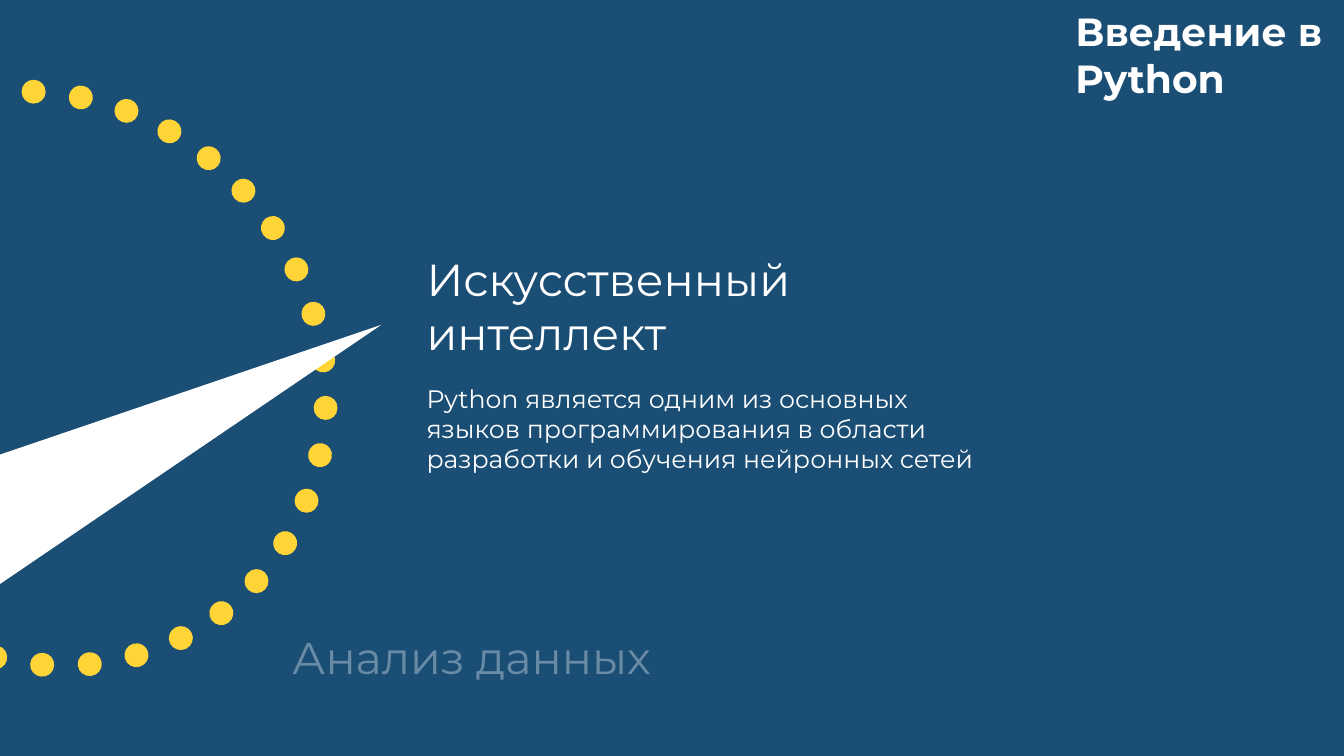
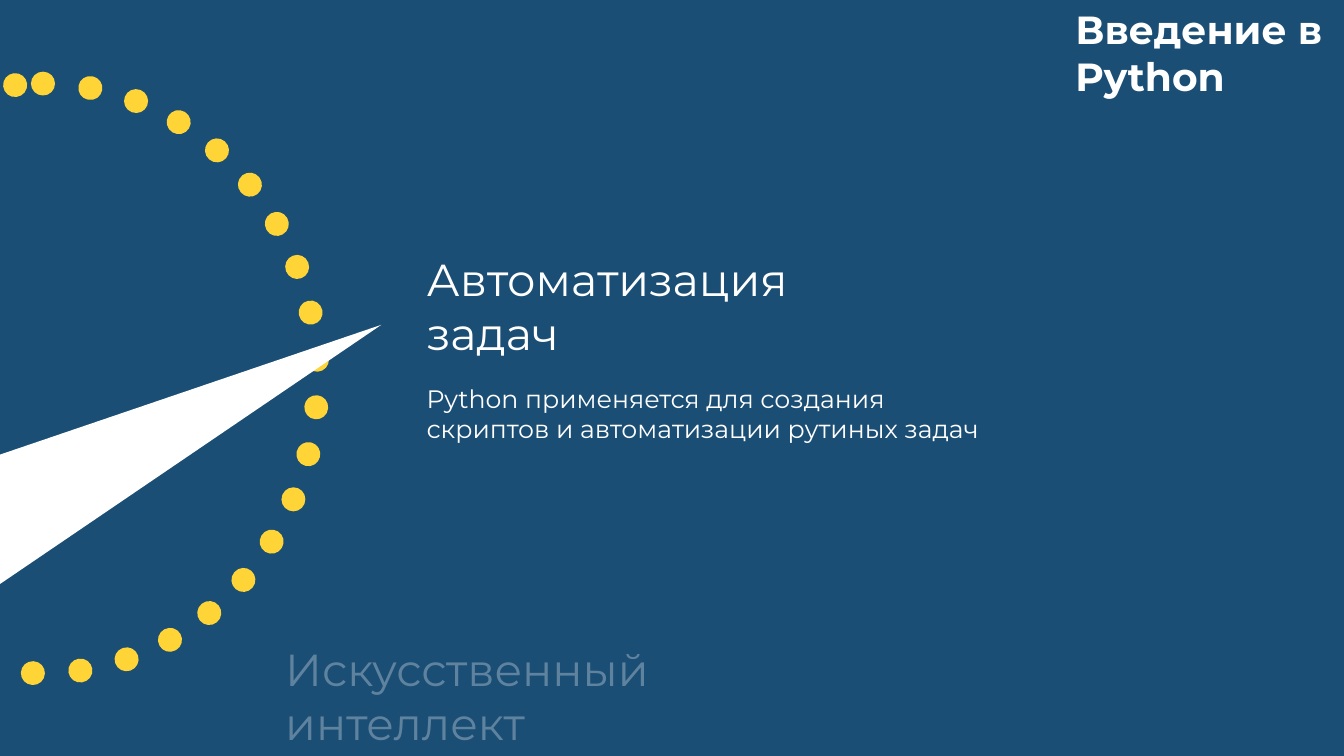
from pptx import Presentation
from pptx.dml.color import RGBColor
from pptx.enum.dml import MSO_LINE
from pptx.enum.shapes import MSO_SHAPE as Form
from pptx.enum.text import MSO_AUTO_SIZE as Fit
from pptx.oxml.ns import qn
from pptx.util import Inches, Pt
from lxml.etree import SubElement

WIDE, HIGH = Inches(13.333), Inches(7.5)
NAVY = RGBColor(0x1B, 0x4E, 0x75)
GOLD = RGBColor(0xFF, 0xD4, 0x36)
WHITE = RGBColor(0xFF, 0xFF, 0xFF)
FONT = "Montserrat"

# Boxes are left, top, width, height in percent of the slide.
RING = (-18.75, 13.73, 43.88, 72.67)
HAND = (-0.38, 18.67, 13.35, 87.73)
TITLE = (31, 32.67, 32.4, 15.73)
BODY = (31, 50, 43.88, 13.5)

TOPICS = [
    dict(turn=50.8, head_top=0.27,
         title="Искусственный интеллект",
         body="Python является одним из основных языков программирования "
              "в области разработки и обучения нейронных сетей",
         past="Анализ данных", past_at=(21, 82.67), alpha=35),
    dict(turn=90, head_top=0,
         title="Автоматизация задач",
         body="Python применяется для создания скриптов "
              "и автоматизации рутиных задач",
         past="Искусственный интеллект", past_at=(20.48, 84.27), alpha=30),
]


def place(box):
    """Turn a box in percent into slide lengths."""
    return [int(part * full / 100)
            for part, full in zip(box, (WIDE, HIGH) * 2)]


def add_form(slide, kind, box, turn):
    form = slide.shapes.add_shape(kind, *place(box))
    form.rotation = turn
    form.shadow.inherit = False
    return form


def add_ring(slide, turn):
    """Draw the circle of round dots."""
    ring = add_form(slide, Form.OVAL, RING, turn)
    ring.fill.background()
    ring.line.color.rgb = GOLD
    ring.line.width = Pt(17)
    ring.line.dash_style = MSO_LINE.ROUND_DOT
    ring._element.spPr.find(qn("a:ln")).set("cap", "rnd")


def add_hand(slide):
    """Draw the pointer that marks the current topic."""
    hand = add_form(slide, Form.ISOSCELES_TRIANGLE, HAND, 63.5)
    hand.fill.solid()
    hand.fill.fore_color.rgb = WHITE
    hand.line.fill.background()


def add_text(slide, box, lines, size, bold=False, alpha=100):
    frame = slide.shapes.add_textbox(*place(box)).text_frame
    frame.word_wrap = True
    frame.auto_size = Fit.SHAPE_TO_FIT_TEXT
    for i, line in enumerate(lines):
        para = frame.add_paragraph() if i else frame.paragraphs[0]
        run = para.add_run()
        run.text = line
        font = run.font
        font.name, font.size, font.bold = FONT, Pt(size), bold
        font.color.rgb = WHITE
        if alpha < 100:
            tint = run._r.find(".//" + qn("a:srgbClr"))
            SubElement(tint, qn("a:alpha")).set("val", str(alpha * 1000))


def add_topic(deck, topic):
    slide = deck.slides.add_slide(deck.slide_layouts[6])
    add_ring(slide, topic["turn"])
    add_text(slide, (79.28, topic["head_top"], 20.63, 13.87),
             ["Введение в", "Python"], 28, bold=True)
    add_hand(slide)
    add_text(slide, topic["past_at"] + TITLE[2:], [topic["past"]], 32,
             alpha=topic["alpha"])
    add_text(slide, TITLE, [topic["title"]], 32)
    add_text(slide, BODY, [topic["body"]], 18)


def main():
    deck = Presentation()
    deck.slide_width, deck.slide_height = WIDE, HIGH
    back = deck.slide_master.background.fill
    back.solid()
    back.fore_color.rgb = NAVY
    for topic in TOPICS:
        add_topic(deck, topic)
    deck.save("out.pptx")


if __name__ == "__main__":
    main()
